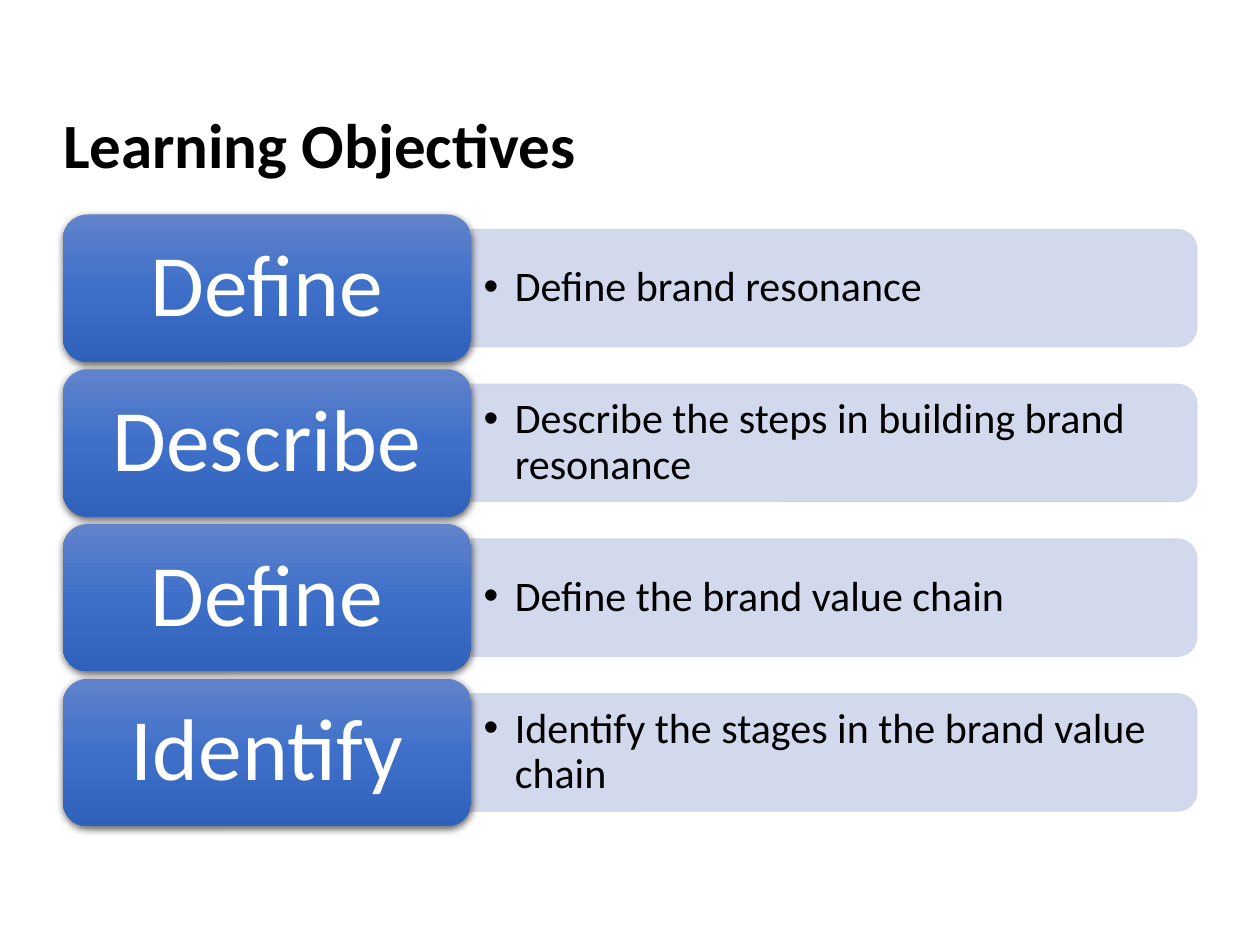
from copy import deepcopy
from dataclasses import dataclass

from lxml import etree
from pptx import Presentation
from pptx.dml.color import RGBColor
from pptx.enum.shapes import MSO_SHAPE
from pptx.enum.text import MSO_ANCHOR, MSO_AUTO_SIZE, PP_ALIGN
from pptx.oxml.ns import qn
from pptx.util import Cm, Pt

ROUND_RECT = MSO_SHAPE.ROUNDED_RECTANGLE
ROUND_TOP = MSO_SHAPE.ROUND_2_SAME_RECTANGLE
LEFT, CENTER = PP_ALIGN.LEFT, PP_ALIGN.CENTER
MIDDLE, BOTTOM = MSO_ANCHOR.MIDDLE, MSO_ANCHOR.BOTTOM
NO_AUTOFIT = MSO_AUTO_SIZE.NONE
TITLE_ONLY = 5


@dataclass(frozen=True)
class Theme:
    font: str = "Calibri"
    ink: str = "000000"
    label_ink: str = "FFFFFF"
    band: str = "CFD5EA"
    label_gradient: tuple = ("6183CB", "3E70CA", "3062BB")
    title_size: int = 36
    label_size: int = 50
    detail_size: int = 24


def write_text(frame, text, *, font, size, color, bold=False, align=LEFT,
               anchor=MIDDLE, margins=(0.25, 0.13), spacing=1, bullet=None):
    frame.word_wrap = True
    frame.auto_size = NO_AUTOFIT
    frame.vertical_anchor = anchor
    frame.margin_left = frame.margin_right = Cm(margins[0])
    frame.margin_top = frame.margin_bottom = Cm(margins[1])
    paragraph = frame.paragraphs[0]
    paragraph.text = text
    paragraph.alignment = align
    paragraph.line_spacing = spacing
    if bullet:
        properties = paragraph._p.get_or_add_pPr()
        properties.set("marL", str(Cm(0.63)))
        properties.set("indent", str(-Cm(0.63)))
        etree.SubElement(properties, qn("a:buFont"), typeface="Arial")
        etree.SubElement(properties, qn("a:buChar"), char=bullet)
    paragraph.font.name = font
    paragraph.font.size = Pt(size)
    paragraph.font.bold = bold
    paragraph.font.color.rgb = RGBColor.from_string(color)


class ObjectivesSlide:
    def __init__(self, presentation, theme):
        self.theme = theme
        self.slide = presentation.slides.add_slide(presentation.slide_layouts[TITLE_ONLY])

    def title(self, text, left, top, width, height):
        title = self.slide.shapes.title
        title.left, title.top, title.width, title.height = map(Cm, (left, top, width, height))
        write_text(title.text_frame, text, font=self.theme.font, size=self.theme.title_size,
                   color=self.theme.ink, bold=True, anchor=BOTTOM, margins=(0, 0))

    def band(self, left, middle, length, thickness):
        band = self.slide.shapes.add_shape(
            ROUND_TOP, Cm(left + (length - thickness) / 2), Cm(middle - length / 2),
            Cm(thickness), Cm(length))
        band.rotation = 90
        band.shadow.inherit = False
        band.line.width = Pt(0.5)
        for paint in (band.fill, band.line.fill):
            paint.solid()
            paint.fore_color.rgb = RGBColor.from_string(self.theme.band)
        for color in band._element.spPr.iter(qn("a:srgbClr")):
            etree.SubElement(color, qn("a:alpha"), val="90000")

    def detail(self, text, left, middle, width, height):
        box = self.slide.shapes.add_textbox(
            Cm(left), Cm(middle - height / 2), Cm(width), Cm(height))
        write_text(box.text_frame, text, font=self.theme.font, size=self.theme.detail_size,
                   color=self.theme.ink, spacing=0.9, bullet="•")

    def label(self, text, left, middle, width, height):
        label = self.slide.shapes.add_shape(
            ROUND_RECT, Cm(left), Cm(middle - height / 2), Cm(width), Cm(height))
        label.line.fill.background()
        self.paint_gradient(label)
        self.cast_shadow(label)
        write_text(label.text_frame, text, font=self.theme.font, size=self.theme.label_size,
                   color=self.theme.label_ink, align=CENTER, margins=(0.68, 0.4), spacing=0.9)

    def paint_gradient(self, shape):
        shape.fill.gradient()
        shape.fill.gradient_angle = 270
        first_stop = next(shape._element.spPr.iter(qn("a:gs")))
        first_stop.addnext(deepcopy(first_stop))
        colors = self.theme.label_gradient
        for index, (stop, color) in enumerate(zip(shape.fill.gradient_stops, colors)):
            stop.position = index / (len(colors) - 1)
            stop.color.rgb = RGBColor.from_string(color)

    def cast_shadow(self, shape):
        shape.shadow.inherit = False
        effects = shape._element.spPr.find(qn("a:effectLst"))
        shadow = etree.SubElement(
            effects, qn("a:outerShdw"), blurRad=str(Pt(4.5)), dist=str(Pt(1.5)),
            dir="5400000", algn="ctr", rotWithShape="0")
        color = etree.SubElement(shadow, qn("a:srgbClr"), val=self.theme.ink)
        etree.SubElement(color, qn("a:alpha"), val="63000")


def main():
    presentation = Presentation()
    presentation.slide_width, presentation.slide_height = Cm(25.4), Cm(19.05)
    slide = ObjectivesSlide(presentation, Theme())
    slide.title("Learning Objectives", 1.27, 0.61, 22.86, 3.05)

    objectives = (
        ("Define", "Define brand resonance"),
        ("Describe", "Describe the steps in building brand resonance"),
        ("Define", "Define the brand value chain"),
        ("Identify", "Identify the stages in the brand value chain"),
    )
    margin, label_width, band_length = 1.27, 8.23, 14.63
    first_middle, row_pitch = 5.81, 3.12
    band_left = margin + label_width
    for row, (verb, objective) in enumerate(objectives):
        middle = first_middle + row * row_pitch
        slide.band(band_left, middle, band_length, 2.37)
        slide.detail(objective, band_left, middle, 14.5, 2.13)
        slide.label(verb, margin, middle, label_width, 2.97)

    presentation.save("out.pptx")


if __name__ == "__main__":
    main()
